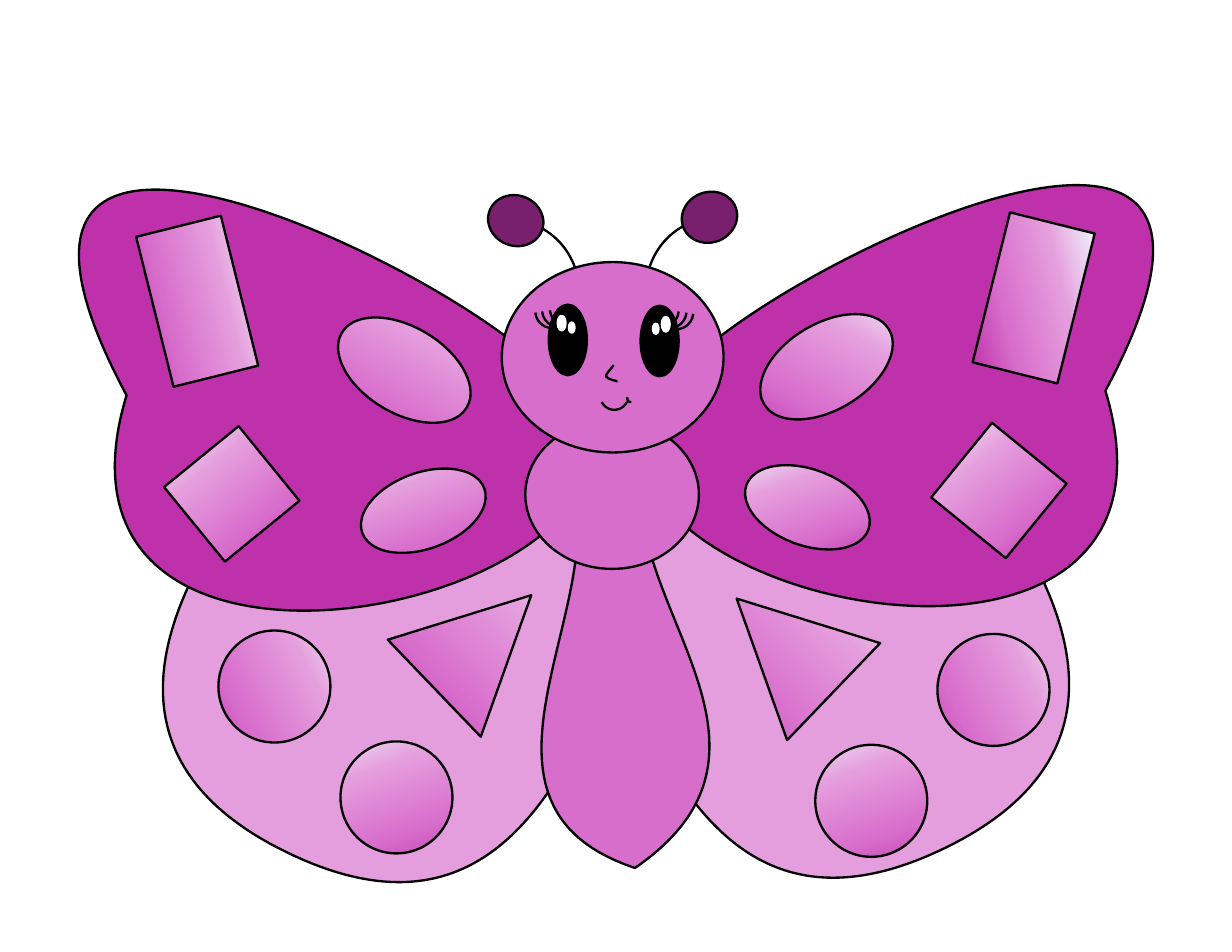
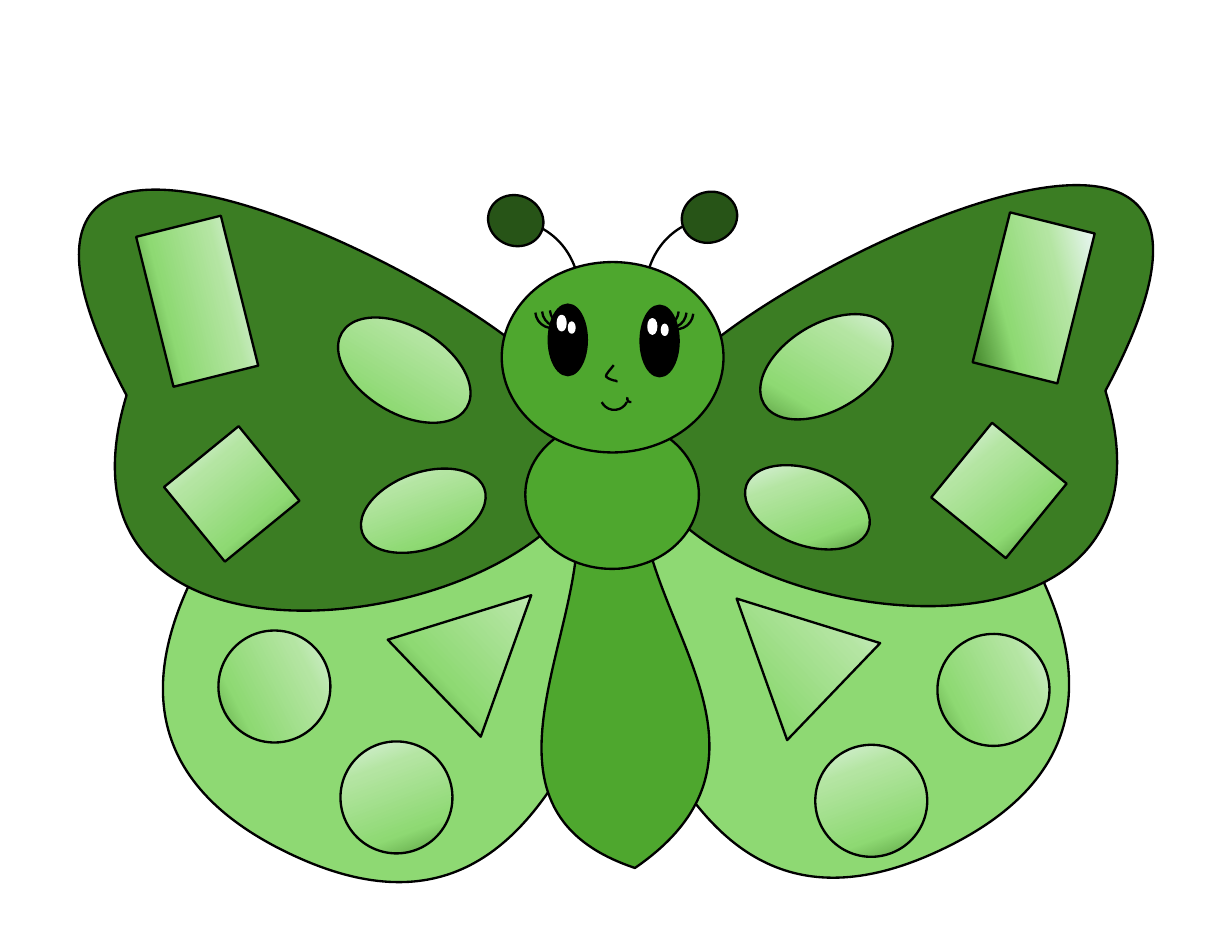
from dataclasses import dataclass, replace
from math import cos, radians, sin
from typing import Optional, Union

from lxml.etree import SubElement
from pptx import Presentation
from pptx.dml.color import RGBColor
from pptx.enum.shapes import MSO_SHAPE as Preset
from pptx.oxml.ns import qn
from pptx.util import Inches, Pt

BLACK = RGBColor(0x00, 0x00, 0x00)
WHITE = RGBColor(0xFF, 0xFF, 0xFF)
ICE = RGBColor(0xF0, 0xF8, 0xFD)
PLUM = RGBColor(0x78, 0x20, 0x6E)
MAGENTA = RGBColor(0xBF, 0x31, 0xAB)
ORCHID = RGBColor(0xD8, 0x6E, 0xCC)
PINK = RGBColor(0xE5, 0x9E, 0xDD)
FOREST = RGBColor(0x27, 0x54, 0x17)
MOSS = RGBColor(0x3B, 0x7D, 0x23)
GREEN = RGBColor(0x4E, 0xA7, 0x2E)
LIME = RGBColor(0x8E, 0xD9, 0x73)
MINT = RGBColor(0xB4, 0xE5, 0xA2)

LINE_WIDTH = Pt(1.5)
STOP_POSITIONS = (0, 32, 70, 100)

Point = tuple[float, float]
Gradient = tuple[RGBColor, ...]
Paint = Optional[Union[RGBColor, Gradient]]


@dataclass(frozen=True)
class Mark:
    preset: Preset
    left: float
    top: float
    width: float
    height: float
    turn: float = 0
    flipped: bool = False
    adjustments: tuple[float, ...] = ()

    def mirrored(self, span: float, drop: float) -> "Mark":
        return replace(
            self,
            left=span - self.left - self.width,
            top=self.top + drop,
            turn=-self.turn % 360,
            flipped=not self.flipped,
        )


@dataclass(frozen=True)
class Outline:
    left: float
    top: float
    width: float
    height: float
    start: Point
    segments: tuple[tuple[Point, ...], ...]
    turn: float = 0
    closed: bool = True

    def mirrored(self, span: float, drop: float) -> "Outline":
        def reflect(point: Point) -> Point:
            return span - point[0], point[1] + drop

        return replace(
            self,
            left=span - self.left - self.width,
            top=self.top + drop,
            start=reflect(self.start),
            segments=tuple(tuple(map(reflect, segment)) for segment in self.segments),
            turn=-self.turn % 360,
        )

    def in_frame(self, point: Point) -> Point:
        angle = radians(-self.turn)
        x = point[0] - self.left - self.width / 2
        y = point[1] - self.top - self.height / 2
        return (
            x * cos(angle) - y * sin(angle) + self.width / 2,
            x * sin(angle) + y * cos(angle) + self.height / 2,
        )


@dataclass(frozen=True)
class Butterfly:
    antenna: RGBColor
    upper_wing: RGBColor
    lower_wing: RGBColor
    body: RGBColor
    spots: Gradient
    right_glints: tuple[Mark, ...]


ANTENNA = Outline(
    4.78, 2.01, 0.4, 0.73,
    (5.17, 2.74), (((5.2, 2.64), (5.19, 2.19), (4.78, 2.01)),), closed=False,
)
ANTENNA_TIP = Mark(Preset.OVAL, 4.38, 1.72, 0.45, 0.5, 290.8)
LOWER_WING = Outline(
    1.6, 3.85, 3.74, 3.99,
    (1.85, 4.91),
    (
        ((2.39, 3.96), (3.56, 3.6), (4.46, 4.11)),
        ((5.35, 4.62), (5.64, 5.81), (5.09, 6.76)),
        ((4.55, 7.72), (3.8, 8.25), (2.48, 7.57)),
        ((1.17, 6.89), (1.3, 5.87), (1.85, 4.91)),
    ),
    turn=29.7,
)
UPPER_WING = Outline(
    0.7, 1.7, 4.41, 3.76,
    (1.13, 3.53),
    (
        ((-0.79, -0.06), (4.38, 2.58), (4.92, 3.38)),
        ((5.11, 4.5),),
        ((4.16, 5.74), (0.35, 6.1), (1.13, 3.53)),
    ),
)
TAIL = Outline(
    4.83, 4.42, 1.5, 3.33,
    (5.14, 4.49),
    (
        ((5.73, 4.42),),
        ((5.71, 5.53), (7.14, 6.74), (5.67, 7.75)),
        ((4.05, 7.21), (5.32, 5.58), (5.14, 4.49)),
    ),
)
CHEST = Mark(Preset.OVAL, 4.69, 3.75, 1.55, 1.33)
HEAD = Mark(Preset.OVAL, 4.48, 2.34, 1.98, 1.7)
LASHES = tuple(
    Mark(Preset.ARC, left, top, 0.3, 0.3, 265.3, True)
    for left, top in ((4.78, 2.63), (4.84, 2.62), (4.91, 2.61))
)
EYE = Mark(Preset.OVAL, 4.9, 2.72, 0.34, 0.63)
LARGE_GLINT = Mark(Preset.OVAL, 4.98, 2.82, 0.07, 0.13)
SMALL_GLINT = Mark(Preset.OVAL, 5.08, 2.88, 0.05, 0.09, flipped=True)
NOSE = Outline(
    5.41, 3.26, 0.09, 0.15,
    (5.48, 3.26),
    (
        ((5.45, 3.3), (5.41, 3.34), (5.41, 3.36)),
        ((5.42, 3.38), (5.48, 3.4), (5.5, 3.4)),
        ((5.51, 3.41), (5.51, 3.41), (5.5, 3.4)),
    ),
    closed=False,
)
SMILE_ARC = (144.57, 5.59)
SMILE = Mark(Preset.ARC, 5.36, 3.41, 0.25, 0.25, 144.4, adjustments=SMILE_ARC)
DIMPLE = Mark(Preset.ARC, 5.6, 3.53, 0.06, 0.06, 196.4, adjustments=SMILE_ARC)
UPPER_SPOTS = (
    Mark(Preset.OVAL, 3.2, 4.22, 1.16, 0.68, 339.9),
    Mark(Preset.OVAL, 2.96, 2.92, 1.3, 0.77, 31),
    Mark(Preset.RECTANGLE, 1.07, 2.3, 1.38, 0.78, 76),
    Mark(Preset.RECTANGLE, 1.64, 3.98, 0.86, 0.86, 320.8),
)
LOWER_SPOTS = (
    Mark(Preset.OVAL, 1.95, 5.63, 1, 1, 63),
    Mark(Preset.OVAL, 3.04, 6.62, 1, 1, 339.9),
    Mark(Preset.ISOSCELES_TRIANGLE, 3.71, 5.13, 1.2, 1.2, 46.2),
)

BUTTERFLIES = (
    Butterfly(
        PLUM, MAGENTA, PINK, ORCHID, (ICE, PINK, ORCHID, MAGENTA),
        (LARGE_GLINT.mirrored(10.96, 0.01), SMALL_GLINT.mirrored(10.96, 0.01)),
    ),
    Butterfly(
        FOREST, MOSS, LIME, GREEN, (ICE, MINT, LIME, MOSS),
        (
            replace(LARGE_GLINT, left=5.79, top=2.85, flipped=True),
            replace(SMALL_GLINT, left=5.91, top=2.9, flipped=False),
        ),
    ),
)


def apply_gradient(shape, colours: Gradient) -> None:
    shape.fill.gradient()
    shape.fill.gradient_angle = 270
    stops = shape.element.spPr.find(qn("a:gradFill")).find(qn("a:gsLst"))
    for stop in list(stops):
        stops.remove(stop)
    for position, colour in zip(STOP_POSITIONS, colours):
        stop = SubElement(stops, qn("a:gs"), pos=str(position * 1000))
        SubElement(stop, qn("a:srgbClr"), val=str(colour))


def style(shape, paint: Paint, line: RGBColor) -> None:
    shape.shadow.inherit = False
    if paint is None:
        shape.fill.background()
    elif isinstance(paint, RGBColor):
        shape.fill.solid()
        shape.fill.fore_color.rgb = paint
    else:
        apply_gradient(shape, paint)
    shape.line.color.rgb = line
    shape.line.width = LINE_WIDTH


def draw_mark(group, mark: Mark, paint: Paint = None, line: RGBColor = BLACK) -> None:
    box = map(Inches, (mark.left, mark.top, mark.width, mark.height))
    shape = group.shapes.add_shape(mark.preset, *box)
    shape.rotation = mark.turn
    if mark.flipped:
        shape.element.spPr.find(qn("a:xfrm")).set("flipH", "1")
    for index, value in enumerate(mark.adjustments):
        shape.adjustments[index] = value
    style(shape, paint, line)


def draw_outline(group, outline: Outline, paint: Paint = None) -> None:
    builder = group.shapes.build_freeform(Inches(outline.left), Inches(outline.top))
    corner = Inches(outline.left + outline.width), Inches(outline.top + outline.height)
    builder.add_line_segments([corner], close=False)
    shape = builder.convert_to_shape()
    trace = next(shape.element.spPr.iter(qn("a:path")))
    for command in list(trace):
        trace.remove(command)
    steps = [("a:moveTo", (outline.start,))]
    for segment in outline.segments:
        steps.append(("a:lnTo" if len(segment) == 1 else "a:cubicBezTo", segment))
    for tag, points in steps:
        command = SubElement(trace, qn(tag))
        for point in points:
            x, y = map(Inches, outline.in_frame(point))
            SubElement(command, qn("a:pt"), x=str(int(x)), y=str(int(y)))
    if outline.closed:
        SubElement(trace, qn("a:close"))
    shape.rotation = outline.turn
    style(shape, paint, BLACK)


def draw_wings(group, look: Butterfly) -> None:
    draw_outline(group, ANTENNA.mirrored(10.94, -0.02))
    draw_mark(group, ANTENNA_TIP.mirrored(10.94, -0.03), look.antenna)
    for lower, upper in (
        (LOWER_WING.mirrored(11, -0.04), UPPER_WING.mirrored(11, -0.04)),
        (LOWER_WING, UPPER_WING),
    ):
        draw_outline(group, lower, look.lower_wing)
        draw_outline(group, upper, look.upper_wing)
    draw_outline(group, ANTENNA)
    draw_mark(group, ANTENNA_TIP, look.antenna)


def draw_eye(group, lashes: tuple[Mark, ...], eye: Mark, glints: tuple[Mark, ...]) -> None:
    for lash in lashes:
        draw_mark(group, lash)
    draw_mark(group, eye, BLACK)
    for glint in glints:
        draw_mark(group, glint, WHITE, WHITE)


def draw_body(group, look: Butterfly) -> None:
    draw_outline(group, TAIL, look.body)
    draw_mark(group, CHEST, look.body)
    draw_mark(group, HEAD, look.body)
    draw_eye(group, LASHES, EYE, (LARGE_GLINT, SMALL_GLINT))
    right_lashes = tuple(lash.mirrored(10.97, 0.01) for lash in LASHES)
    draw_eye(group, right_lashes, EYE.mirrored(10.96, 0.01), look.right_glints)
    draw_outline(group, NOSE)
    draw_mark(group, SMILE)
    draw_mark(group, DIMPLE)


def draw_spots(group, spots: tuple[Mark, ...], paint: Gradient) -> None:
    for spot in spots:
        draw_mark(group, spot, paint)


def draw_mirrored_spots(
    group, spots: tuple[Mark, ...], paint: Gradient, span: float, drop: float
) -> None:
    side = group.shapes.add_group_shape()
    draw_spots(side, spots, paint)
    side.left = Inches(span) - side.left - side.width
    side.top = side.top + Inches(drop)
    side.element.grpSpPr.find(qn("a:xfrm")).set("flipH", "1")


def main() -> None:
    deck = Presentation()
    deck.slide_width = Inches(11)
    deck.slide_height = Inches(8.5)
    for look in BUTTERFLIES:
        page = deck.slides.add_slide(deck.slide_layouts[6])
        group = page.shapes.add_group_shape()
        draw_wings(group, look)
        draw_body(group, look)
        draw_spots(group, UPPER_SPOTS, look.spots)
        draw_mirrored_spots(group, UPPER_SPOTS, look.spots, 10.99, -0.03)
        draw_mirrored_spots(group, LOWER_SPOTS, look.spots, 11.32, 0.03)
        draw_spots(group, LOWER_SPOTS, look.spots)
    deck.save("out.pptx")


if __name__ == "__main__":
    main()
